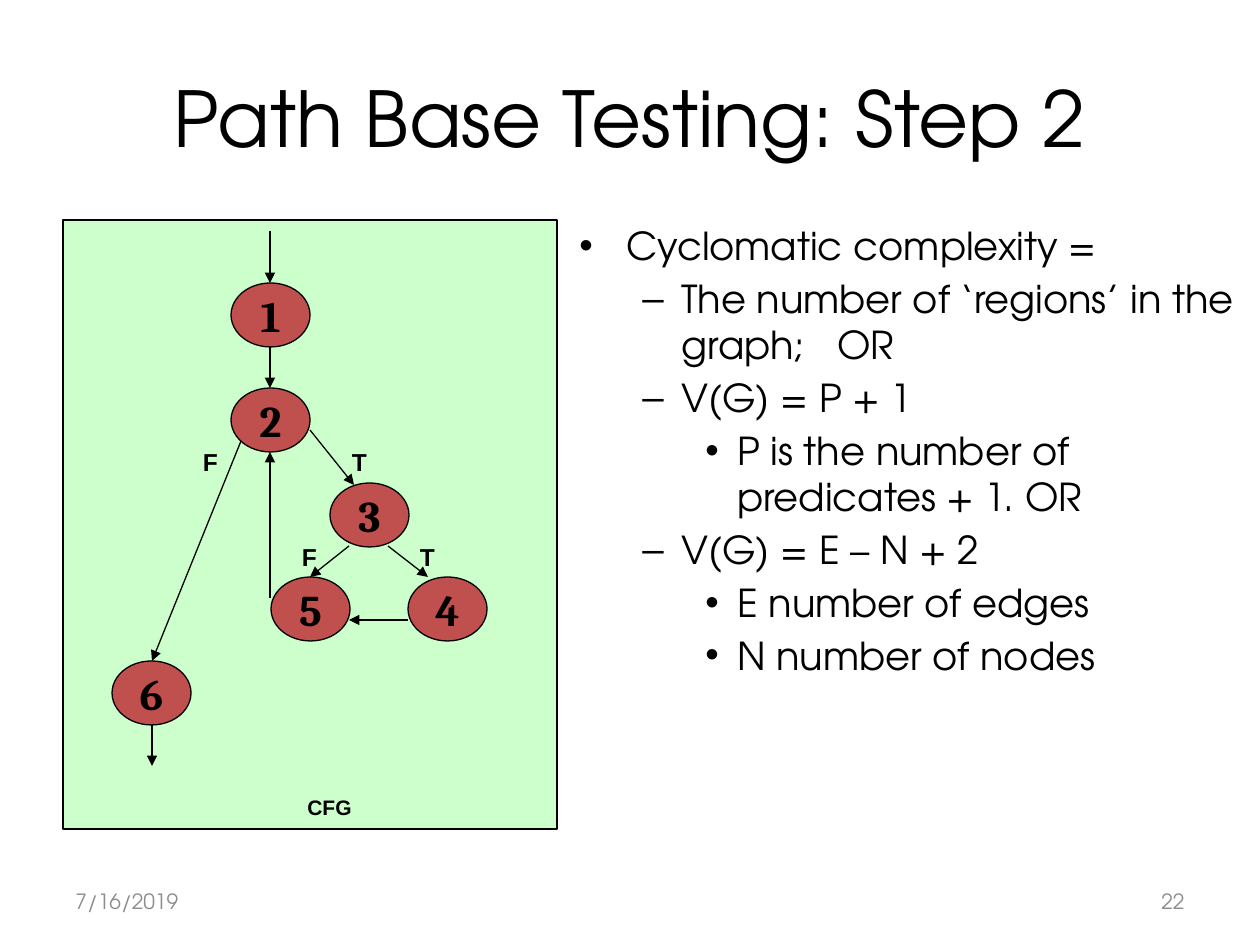
from dataclasses import dataclass
from typing import NamedTuple

from pptx import Presentation
from pptx.dml.color import RGBColor
from pptx.enum.shapes import MSO_CONNECTOR, MSO_SHAPE
from pptx.enum.text import MSO_ANCHOR, MSO_AUTO_SIZE, PP_ALIGN
from pptx.oxml.ns import qn
from pptx.util import Emu, Pt
from lxml.etree import SubElement

EMU_PER_PX = 914400 / 126


@dataclass(frozen=True)
class Theme:
    sans: str = "TeX Gyre Adventor"
    label: str = "Arial"
    serif: str = "Cambria"
    ink: str = "000000"
    muted: str = "8C8C8C"
    panel: str = "CCFFCC"
    node: str = "C0504D"
    title_size: float = 44
    body_size: float = 22
    node_size: float = 25
    branch_size: float = 14
    small_size: float = 12
    body_gap: float = 3.8
    panel_line: float = 1
    thin_line: float = 0.75


class Box(NamedTuple):
    left: int
    top: int
    width: int
    height: int


class Node(NamedTuple):
    number: str
    left: int
    top: int


class Arrow(NamedTuple):
    x1: int
    y1: int
    x2: int
    y2: int


class Label(NamedTuple):
    text: str
    box: Box
    size: float


class Bullet(NamedTuple):
    level: int
    text: str


class BulletStyle(NamedTuple):
    mark: str
    margin: int
    indent: int


THEME = Theme()
NODE_WIDTH, NODE_HEIGHT = 79, 64
BRANCH_WIDTH, BRANCH_HEIGHT = 59, 42
OR_TAB = 258

NODES = [
    Node("1", 231, 283), Node("2", 231, 388), Node("3", 330, 483),
    Node("4", 408, 577), Node("5", 271, 577), Node("6", 112, 661),
]
ARROWS = [
    Arrow(270, 231, 270, 283),  # entry to 1
    Arrow(270, 347, 270, 388),  # 1 to 2
    Arrow(310, 430, 354, 485),  # 2 to 3
    Arrow(349, 546, 310, 577),  # 3 to 5
    Arrow(388, 546, 428, 577),  # 3 to 4
    Arrow(241, 441, 152, 661),  # 2 to 6
    Arrow(152, 725, 152, 766),  # 6 to exit
    Arrow(408, 620, 349, 620),  # 4 to 5
    Arrow(270, 598, 270, 452),  # 5 back to 2
]
BRANCHES = [("T", 330, 441), ("F", 181, 441), ("T", 398, 536), ("F", 280, 536)]
LABELS = [Label("CFG", Box(290, 788, 79, 38), THEME.small_size)] + [
    Label(text, Box(left, top, BRANCH_WIDTH, BRANCH_HEIGHT), THEME.branch_size)
    for text, left, top in BRANCHES
]
BULLETS = [
    Bullet(0, "Cyclomatic complexity ="),
    Bullet(1, "The number of ‘regions’ in the graph;\tOR"),
    Bullet(1, "V(G) = P + 1"),
    Bullet(2, "P is the number of predicates + 1. OR"),
    Bullet(1, "V(G) = E – N + 2"),
    Bullet(2, "E number of edges"),
    Bullet(2, "N number of nodes"),
]
BULLET_STYLES = [
    BulletStyle("•", 47, -47), BulletStyle("–", 102, -39), BulletStyle("•", 158, -32),
]


def px(length: int) -> Emu:
    return Emu(round(length * EMU_PER_PX))


def place(box: Box) -> list[Emu]:
    return [px(length) for length in box]


def write(para, text: str, font: str, size: float, color: str = THEME.ink,
          bold: bool = False, align=PP_ALIGN.LEFT) -> None:
    para.alignment = align
    span = para.add_run()
    span.text = text
    for name, value in {"name": font, "size": Pt(size), "bold": bold}.items():
        setattr(span.font, name, value)
    span.font.color.rgb = RGBColor.from_string(color)


def add_text_box(page, box: Box, anchor=MSO_ANCHOR.TOP):
    frame = page.shapes.add_textbox(*place(box)).text_frame
    frame.word_wrap = True
    frame.vertical_anchor = anchor
    return frame


def add_outlined(page, preset, box: Box, fill: str, line_width: float):
    shape = page.shapes.add_shape(preset, *place(box))
    shape.shadow.inherit = False
    shape.fill.solid()
    shape.fill.fore_color.rgb = RGBColor.from_string(fill)
    shape.line.color.rgb = RGBColor.from_string(THEME.ink)
    shape.line.width = Pt(line_width)
    return shape


def add_node(page, node: Node) -> None:
    box = Box(node.left, node.top, NODE_WIDTH, NODE_HEIGHT)
    frame = add_outlined(page, MSO_SHAPE.OVAL, box, THEME.node, THEME.thin_line).text_frame
    frame.word_wrap = False
    frame.vertical_anchor = MSO_ANCHOR.MIDDLE
    write(frame.paragraphs[0], node.number, THEME.serif, THEME.node_size,
          bold=True, align=PP_ALIGN.CENTER)


def add_arrow(page, arrow: Arrow) -> None:
    line = page.shapes.add_connector(MSO_CONNECTOR.STRAIGHT, *[px(end) for end in arrow])
    line.line.color.rgb = RGBColor.from_string(THEME.ink)
    line.line.width = Pt(THEME.thin_line)
    SubElement(line.line._get_or_add_ln(), qn("a:tailEnd"), type="triangle")
    SubElement(line._element.spPr, qn("a:effectLst"))


def add_label(page, label: Label) -> None:
    frame = add_text_box(page, label.box)
    write(frame.paragraphs[0], label.text, THEME.label, label.size,
          bold=True, align=PP_ALIGN.CENTER)


def add_bullets(page, box: Box, bullets: list[Bullet]) -> None:
    frame = add_text_box(page, box)
    for index, bullet in enumerate(bullets):
        para = frame.add_paragraph() if index else frame.paragraphs[0]
        style = BULLET_STYLES[bullet.level]
        para.level = bullet.level
        para.space_before = Pt(THEME.body_gap if index else 0)
        properties = para._p.get_or_add_pPr()
        properties.set("marL", str(px(style.margin)))
        properties.set("indent", str(px(style.indent)))
        SubElement(properties, qn("a:buFont"), typeface=THEME.label)
        SubElement(properties, qn("a:buChar"), char=style.mark)
        if "\t" in bullet.text:
            tabs = SubElement(properties, qn("a:tabLst"))
            SubElement(tabs, qn("a:tab"), pos=str(px(OR_TAB)), algn="l")
        write(para, bullet.text, THEME.sans, THEME.body_size)


def main() -> None:
    deck = Presentation()
    deck.slide_width, deck.slide_height = px(1260), px(945)
    page = deck.slides.add_slide(deck.slide_layouts[5])

    # Title
    title = page.shapes.title
    title.left, title.top, title.width, title.height = place(Box(63, 38, 1134, 158))
    title.text_frame.auto_size = MSO_AUTO_SIZE.NONE
    title.text_frame.vertical_anchor = MSO_ANCHOR.MIDDLE
    write(title.text_frame.paragraphs[0], "Path Base Testing: Step 2",
          THEME.sans, THEME.title_size, align=PP_ALIGN.CENTER)

    # Date and page number
    for text, left, align in [("7/16/2019", 63, PP_ALIGN.LEFT), ("22", 903, PP_ALIGN.RIGHT)]:
        frame = add_text_box(page, Box(left, 876, 294, 50), MSO_ANCHOR.MIDDLE)
        write(frame.paragraphs[0], text, THEME.sans, THEME.small_size, THEME.muted, align=align)

    # Control flow graph
    add_outlined(page, MSO_SHAPE.RECTANGLE, Box(63, 220, 494, 609), THEME.panel, THEME.panel_line)
    for node in NODES:
        add_node(page, node)
    for arrow in ARROWS:
        add_arrow(page, arrow)
    for label in LABELS:
        add_label(page, label)

    # Complexity formulas
    add_bullets(page, Box(567, 216, 693, 346), BULLETS)
    deck.save("out.pptx")


if __name__ == "__main__":
    main()
